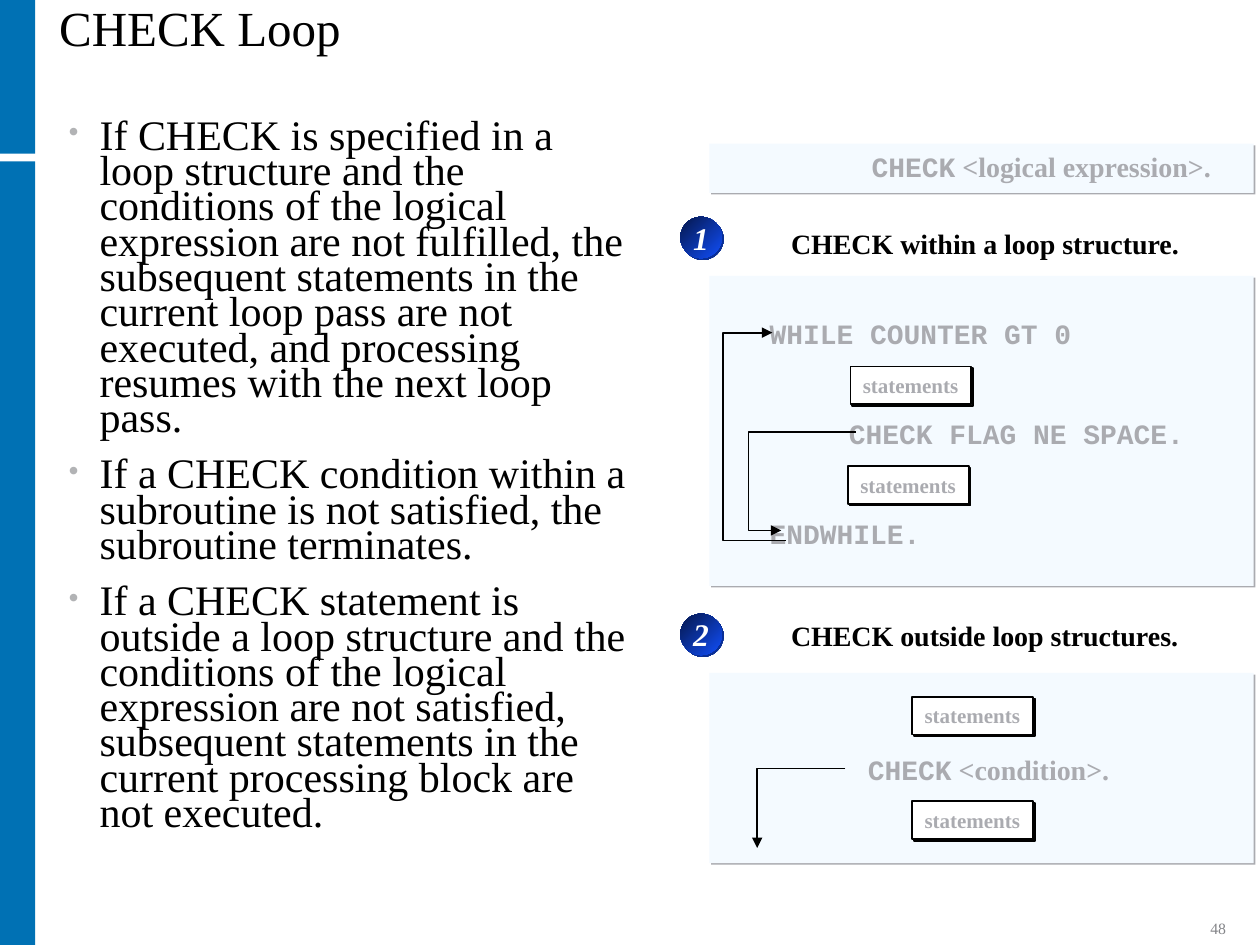
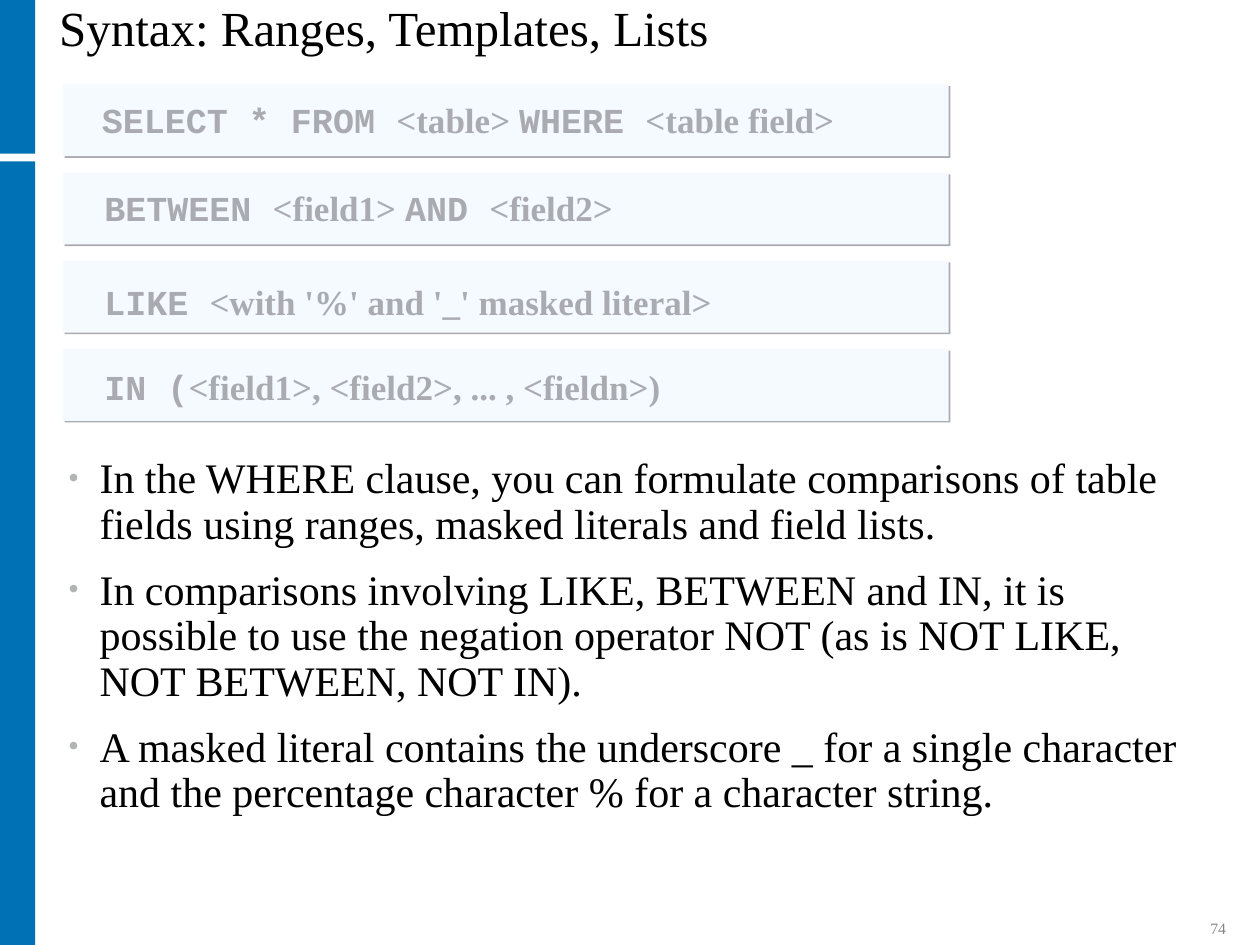
from lxml import etree
from pptx import Presentation
from pptx.dml.color import RGBColor
from pptx.enum import shapes, text
from pptx.oxml import ns
from pptx.util import Inches, Pt

BLUE = RGBColor(0x00, 0x71, 0xB4)
PALE_BLUE = RGBColor(0xF4, 0xFA, 0xFF)
BRIGHT_BLUE = RGBColor(0x11, 0x4F, 0xFB)
NAVY = RGBColor(0x05, 0x17, 0x4A)
BADGE_SHADOW = RGBColor(0x0A, 0x2F, 0x96)
CODE_GREY = RGBColor(0xAA, 0xAB, 0xB0)
BULLET_GREY = RGBColor(0xB2, 0xB3, 0xB5)
NUMBER_GREY = RGBColor(0x84, 0x85, 0x89)
BLACK = RGBColor(0, 0, 0)
WHITE = RGBColor(255, 255, 255)
SERIF, MONO = "Times New Roman", "Courier New"


def sub(parent, tag, **attributes):
    """Append a DrawingML element and return it."""
    return etree.SubElement(parent, ns.qn("a:" + tag), attributes)


def write(paragraph, content, size, color=BLACK, font=SERIF, bold=False,
          italic=False, align=text.PP_ALIGN.LEFT):
    """Write a string, or (string, font) pairs, into a paragraph."""
    paragraph.alignment = align
    parts = [(content, font)] if isinstance(content, str) else content
    for words, face in parts:
        run = paragraph.add_run()
        run.text = words
        run.font.name, run.font.size = face, Pt(size)
        run.font.bold, run.font.italic = bold, italic
        run.font.color.rgb = color


def set_frame(frame, margins=(0.1, 0.05), wrap=True,
              anchor=text.MSO_ANCHOR.TOP):
    frame.margin_left = frame.margin_right = Inches(margins[0])
    frame.margin_top = frame.margin_bottom = Inches(margins[1])
    frame.word_wrap = wrap
    frame.vertical_anchor = anchor
    frame.auto_size = text.MSO_AUTO_SIZE.NONE


def move(shape, *box):
    shape.left, shape.top, shape.width, shape.height = map(Inches, box)


class Deck:
    def __init__(self):
        self.presentation = Presentation()
        self.presentation.slide_width = Inches(10)
        self.presentation.slide_height = Inches(7.5)
        self.slide = None

    def start_slide(self, title, number):
        layout = self.presentation.slide_layouts[1]
        self.slide = self.presentation.slides.add_slide(layout)
        # Side bands
        self.box(0, 1.28, 0.28, 6.22, BLUE)
        self.box(0, 0, 0.28, 1.22, BLUE)
        # Title
        heading = self.slide.shapes.title
        move(heading, 0.47, 0.12, 8.34, 0.25)
        set_frame(heading.text_frame, (0, 0), anchor=text.MSO_ANCHOR.MIDDLE)
        line = heading.text_frame.paragraphs[0]
        line.line_spacing = 0.9
        write(line, title, 28)
        # Page number
        page = self.text_area(9, 7.25, 0.83, 0.24, text.MSO_ANCHOR.BOTTOM)
        write(page.paragraphs[0], number, 9, NUMBER_GREY,
              align=text.PP_ALIGN.RIGHT)

    def text_area(self, left, top, width, height, anchor=text.MSO_ANCHOR.TOP):
        area = self.slide.shapes.add_textbox(
            *map(Inches, (left, top, width, height)))
        set_frame(area.text_frame, anchor=anchor)
        return area.text_frame

    def box(self, left, top, width, height, color, shadow=None,
            kind=shapes.MSO_SHAPE.RECTANGLE):
        shape = self.slide.shapes.add_shape(
            kind, *map(Inches, (left, top, width, height)))
        shape.fill.solid()
        shape.fill.fore_color.rgb = color
        shape.line.fill.background()
        shape.shadow.inherit = False
        if shadow is not None:
            effects = shape._element.spPr.find(ns.qn("a:effectLst"))
            outer = sub(effects, "outerShdw", blurRad="0", dist=str(Pt(1.4)),
                        dir="2700000", algn="ctr", rotWithShape="0")
            sub(outer, "srgbClr", val=str(shadow))
        return shape

    def panel(self, left, top, width, height):
        self.box(left, top, width, height, PALE_BLUE, CODE_GREY)

    def label(self, left, top, width, height, content, size=16,
              color=CODE_GREY):
        frame = self.text_area(left, top, width, height)
        write(frame.paragraphs[0], content, size, color, bold=True)

    def code(self, left, top, width, height, lines, gap):
        """Write (line, indent) pairs of code, spread by gap points."""
        frame = self.text_area(left, top, width, height)
        for index, (line, indent) in enumerate(lines):
            paragraph = frame.add_paragraph() if index else frame.paragraphs[0]
            if index:
                paragraph.space_before = Pt(gap)
            paragraph._p.get_or_add_pPr().set("marL", str(Inches(indent)))
            write(paragraph, line, 16, CODE_GREY, MONO, bold=True)

    def statements(self, left, top):
        shape = self.box(left, top, 0.96, 0.3, WHITE, BLACK)
        shape.line.color.rgb = BLACK
        shape.line.width = Pt(1)
        set_frame(shape.text_frame, wrap=False)
        write(shape.text_frame.paragraphs[0], "statements", 12, CODE_GREY,
              bold=True)

    def badge(self, top, number):
        circle = self.box(5.4, top, 0.33, 0.33, BRIGHT_BLUE, BADGE_SHADOW,
                          shapes.MSO_SHAPE.OVAL)
        circle.fill.gradient()
        circle.fill.gradient_angle = 135
        for stop, color in zip(circle.fill.gradient_stops,
                               (BRIGHT_BLUE, NAVY)):
            stop.color.rgb = color
        set_frame(circle.text_frame, (0, 0), wrap=False,
                  anchor=text.MSO_ANCHOR.MIDDLE)
        write(circle.text_frame.paragraphs[0], number, 18, WHITE, bold=True,
              italic=True, align=text.PP_ALIGN.CENTER)

    def flow_arrow(self, *points):
        start, *rest = [(Inches(x), Inches(y)) for x, y in points]
        builder = self.slide.shapes.build_freeform(*start)
        builder.add_line_segments(rest, close=False)
        arrow = builder.convert_to_shape()
        arrow.fill.background()
        arrow.shadow.inherit = False
        arrow.line.color.rgb = BLACK
        arrow.line.width = Pt(1)
        sub(arrow.line._get_or_add_ln(), "tailEnd", type="triangle")

    def bullets(self, left, top, width, height, items, line_spacing):
        body = self.slide.placeholders[1]
        move(body, left, top, width, height)
        frame = body.text_frame
        set_frame(frame)
        for index, item in enumerate(items):
            paragraph = frame.add_paragraph() if index else frame.paragraphs[0]
            properties = paragraph._p.get_or_add_pPr()
            properties.set("marL", str(Inches(0.25)))
            properties.set("indent", str(-Inches(0.25)))
            sub(sub(properties, "buClr"), "srgbClr", val=str(BULLET_GREY))
            sub(properties, "buSzPct", val="75000")
            sub(properties, "buFont", typeface=SERIF)
            sub(properties, "buChar", char="•")
            paragraph.line_spacing = line_spacing
            paragraph.space_before = Pt(9 if index else 0)
            paragraph.space_after = Pt(3)
            write(paragraph, item, 24)


def check_loop(deck):
    deck.start_slide("CHECK Loop", "48")
    deck.bullets(0.44, 0.92, 4.65, 6.16, [
        "If CHECK is specified in a loop structure and the conditions of the "
        "logical expression are not fulfilled, the subsequent statements in "
        "the current loop pass are not executed, and processing resumes with "
        "the next loop pass.",
        "If a CHECK condition within a subroutine is not satisfied, the "
        "subroutine terminates.",
        "If a CHECK statement is outside a loop structure and the conditions "
        "of the logical expression are not satisfied, subsequent statements "
        "in the current processing block are not executed.",
    ], line_spacing=0.7)

    # Panels: syntax, inside a loop, outside loops
    for top, height in ((1.14, 0.39), (2.19, 2.46), (5.34, 1.51)):
        deck.panel(5.63, top, 4.32, height)
    deck.label(6.82, 1.14, 3, 0.36,
               [("CHECK", MONO), (" <logical expression>.", SERIF)])
    deck.label(6.79, 5.92, 2.2, 0.36,
               [("CHECK", MONO), (" <condition>.", SERIF)])
    deck.code(6.01, 2.46, 3.6, 1.96, [
        ("WHILE COUNTER GT 0", 0),
        ("CHECK FLAG NE SPACE.", 0.63),
        ("ENDWHILE.", 0),
    ], gap=38)
    for left, top in ((6.75, 2.91), (6.73, 3.7), (7.24, 5.53), (7.24, 6.36)):
        deck.statements(left, top)

    # Numbered headings
    for number, badge_top, heading_top, heading in (
            ("1", 1.72, 1.75, "CHECK within a loop structure."),
            ("2", 4.87, 4.86, "CHECK outside loop structures.")):
        deck.badge(badge_top, number)
        deck.label(6.18, heading_top, 3.4, 0.36, heading, color=BLACK)

    # Flow: next pass, failed check, end of block
    deck.flow_arrow((6.24, 4.29), (5.74, 4.29), (5.74, 2.64), (6.13, 2.64))
    deck.flow_arrow((6.79, 3.43), (5.94, 3.43), (5.94, 4.21), (6.2, 4.21))
    deck.flow_arrow((6.71, 6.1), (6.01, 6.1), (6.01, 6.73))


def ranges_templates_lists(deck):
    deck.start_slide("Syntax: Ranges, Templates, Lists", "74")

    # Syntax rows: text left, text offset in its panel, content
    clauses = [
        (0.71, 0.06, [("SELECT * FROM ", MONO), ("<table> ", SERIF),
                      ("WHERE ", MONO), ("<table field>", SERIF)]),
        (0.73, 0.06, [("BETWEEN ", MONO), ("<field1> ", SERIF),
                      ("AND ", MONO), ("<field2>", SERIF)]),
        (0.73, 0.11, [("LIKE ", MONO),
                      ("<with '%' and '_' masked literal>", SERIF)]),
        (0.73, 0.08, [("IN (", MONO),
                      ("<field1>, <field2>, ... , <fieldn>)", SERIF)]),
    ]
    for row, (left, offset, clause) in enumerate(clauses):
        top = 0.67 + 0.7 * row
        deck.panel(0.5, top, 7.03, 0.57)
        deck.label(left, top + offset, 6.2, 0.43, clause, size=20)

    deck.bullets(0.44, 3.58, 9.05, 3.5, [
        "In the WHERE clause, you can formulate comparisons of table fields "
        "using ranges, masked literals and field lists.",
        "In comparisons involving LIKE, BETWEEN and IN, it is possible to use "
        "the negation operator NOT (as is NOT LIKE, NOT BETWEEN, NOT IN).",
        "A masked literal contains the underscore _ for a single character "
        "and the percentage character % for a character string.",
    ], line_spacing=0.9)


def main():
    deck = Deck()
    check_loop(deck)
    ranges_templates_lists(deck)
    deck.presentation.save("out.pptx")


if __name__ == "__main__":
    main()
